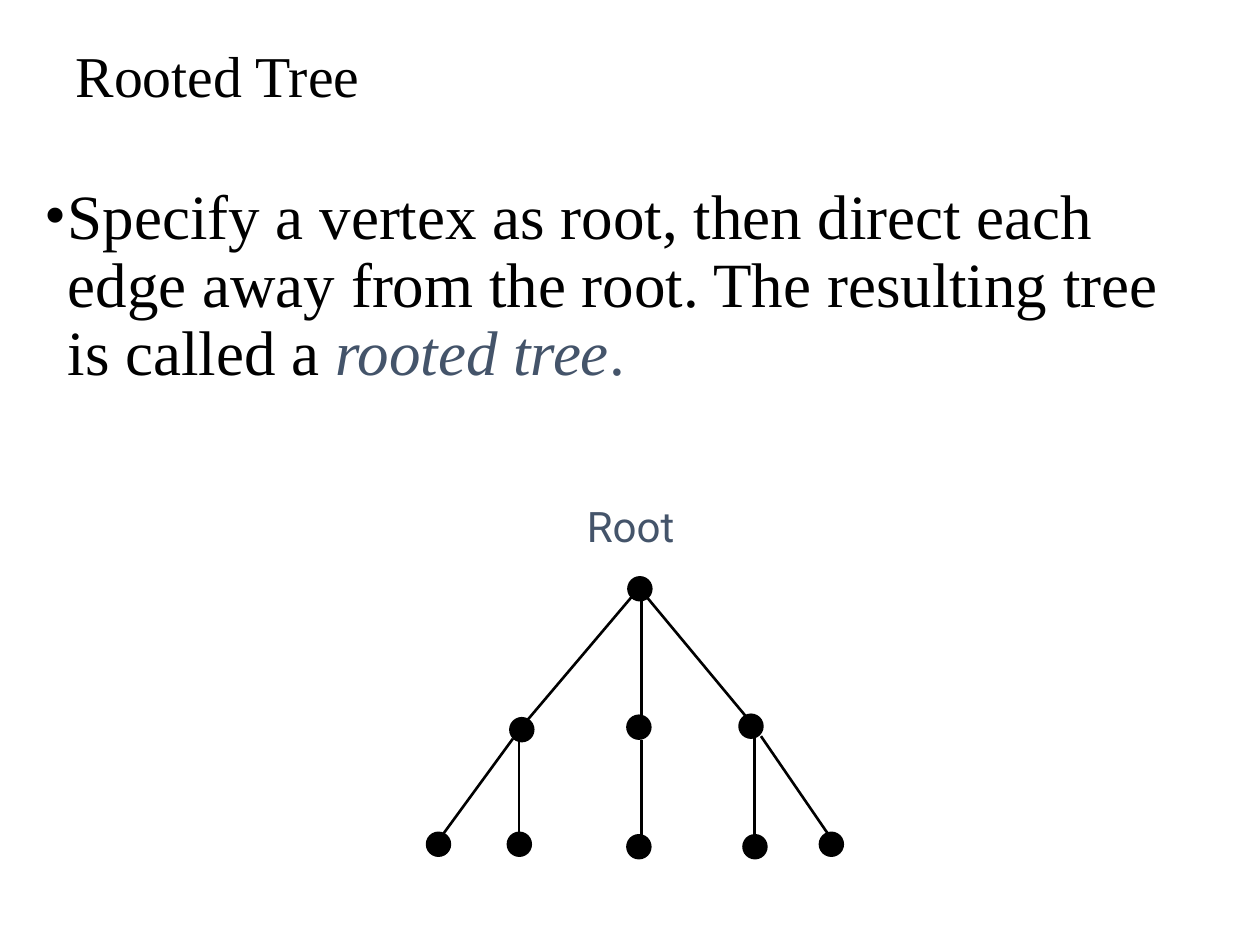
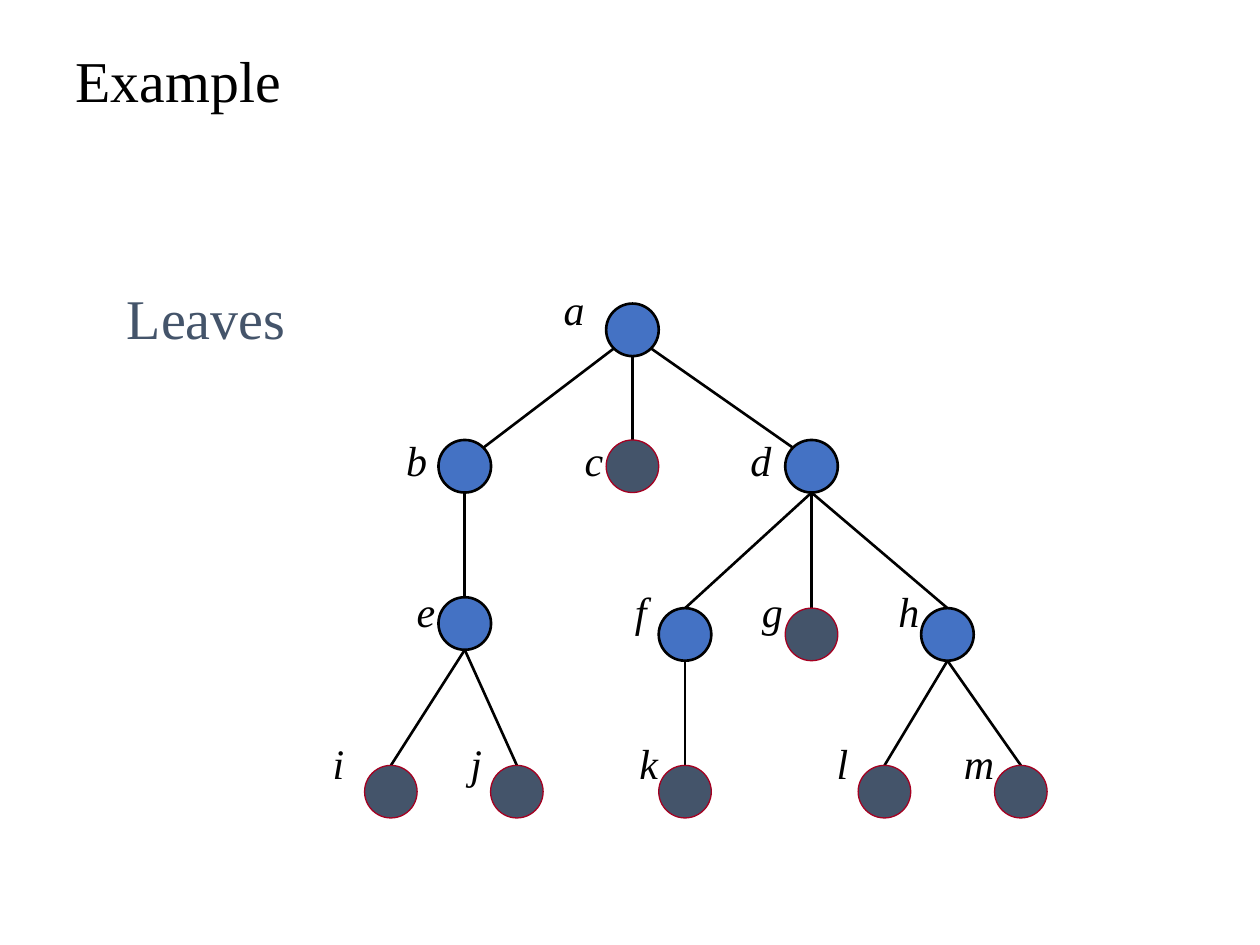
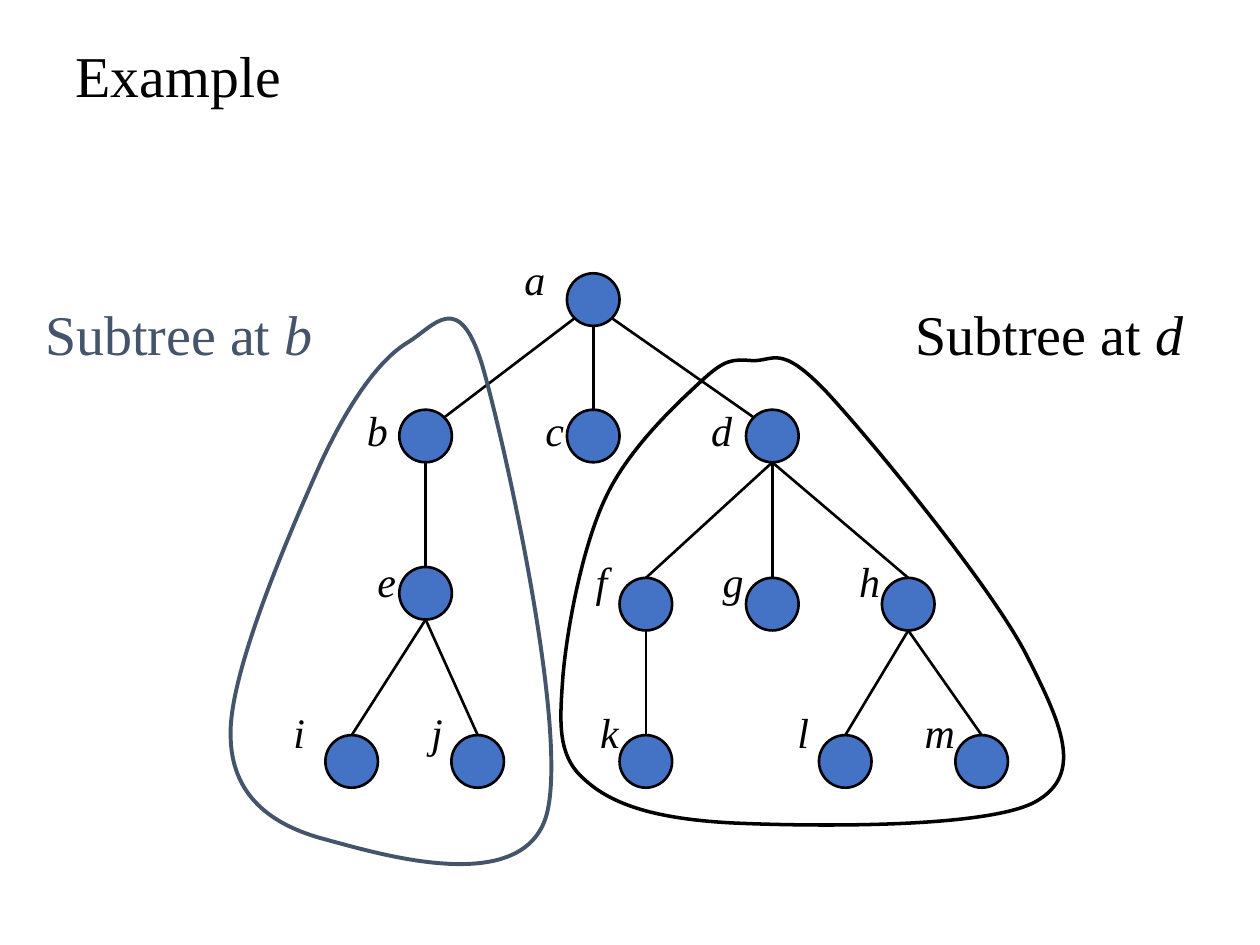
from dataclasses import dataclass
from math import cos, pi, sin

from lxml import etree
from pptx import Presentation
from pptx.dml.color import RGBColor
from pptx.enum.shapes import MSO_CONNECTOR, MSO_SHAPE
from pptx.enum.text import MSO_ANCHOR, MSO_AUTO_SIZE, PP_ALIGN
from pptx.oxml.ns import qn
from pptx.util import Cm, Pt

LINE = MSO_CONNECTOR.STRAIGHT
OVAL = MSO_SHAPE.OVAL
MIDDLE = MSO_ANCHOR.MIDDLE
FIXED = MSO_AUTO_SIZE.NONE
GROW = MSO_AUTO_SIZE.SHAPE_TO_FIT_TEXT
LEFT = PP_ALIGN.LEFT
TITLE_ONLY = 5


@dataclass(frozen=True)
class Theme:
    """Colours, fonts and sizes that the slides share."""
    ink: RGBColor = RGBColor(0, 0, 0)
    slate: RGBColor = RGBColor(0x44, 0x54, 0x6A)
    blue: RGBColor = RGBColor(0x44, 0x72, 0xC4)
    wine: RGBColor = RGBColor(0xA5, 0x00, 0x21)
    serif: str = "Times New Roman"
    sans: str = "Roboto"
    title: float = 33
    body: float = 36
    note: float = 32
    label: float = 24
    thin: float = 0.75
    edge: float = 1.5


@dataclass(frozen=True)
class Box:
    """A region of a slide, in centimetres."""
    x: float
    y: float
    w: float
    h: float

    def inner(self, x, y, w, h):
        """Return a box placed from this one's corner."""
        return Box(self.x + x, self.y + y, w, h)

    def point(self, x, y):
        """Return a point placed from this box's corner."""
        return Cm(self.x + x), Cm(self.y + y)

    def rim(self, turn):
        """Return the point on the inscribed circle, turned from its foot."""
        half = self.w / 2
        return self.point(half + half * sin(turn), half + half * cos(turn))

    def place(self):
        """Return left, top, width and height as lengths."""
        return Cm(self.x), Cm(self.y), Cm(self.w), Cm(self.h)


THEME = Theme()

DOT = 0.46
DOTS = (
    (4.06, 1.68),
    (1.68, 4.52), (4.04, 4.47), (6.3, 4.45),
    (0, 6.83), (1.63, 6.83), (4.04, 6.88), (6.38, 6.88), (7.92, 6.83),
)
EDGES = (
    ((4.22, 1.96), (1.9, 4.7)), ((4.32, 2.13), (4.32, 4.47)),
    ((4.39, 2.03), (6.5, 4.57)), ((1.73, 4.93), (0.15, 7.09)),
    ((1.85, 4.95), (1.85, 7.06)), ((4.32, 4.95), (4.32, 7.06)),
    ((6.6, 4.9), (6.6, 7.04)), ((6.73, 4.88), (8.28, 7.14)),
)

NODE = 1.06
NODES = {
    "a": (6.4, 0.53),
    "b": (3.02, 3.28), "c": (6.4, 3.28), "d": (10.01, 3.28),
    "e": (3.02, 6.45), "f": (7.46, 6.67), "g": (10.01, 6.67),
    "h": (12.75, 6.67),
    "i": (1.53, 9.84), "j": (4.07, 9.84), "k": (7.46, 9.84),
    "l": (11.48, 9.84), "m": (14.23, 9.84),
}
KIDS = {"a": "bcd", "b": "e", "d": "fgh", "e": "ij", "f": "k", "h": "lm"}
ROWS = (
    ("a", (150,)),
    ("bcd", (60, 162, 256.7)),
    ("efgh", (66, 190.7, 263.3, 341.3)),
    ("ijklm", (18, 96.7, 193.3, 306, 378.7)),
)
ROW_GAP = 57.6

LOOP_B = (
    (3.18, 1.93), (2.64, 2.26), (2.03, 3.07), (1.42, 4.39), (0.84, 5.69),
    (-0.41, 8.56), (-0.38, 9.83), (-0.38, 11.07), (0.46, 11.66),
    (1.52, 11.94), (2.57, 12.22), (5.44, 13.11), (5.97, 11.51),
    (6.48, 9.93), (5.16, 4.01), (4.7, 2.41), (4.22, 0.81), (3.73, 1.6),
    (3.18, 1.93),
)
LOOP_D = (
    (9.09, 2.72), (9.58, 2.26), (9.73, 2.26), (10.13, 2.29), (10.57, 2.31),
    (10.69, 1.93), (11.63, 2.92), (12.55, 3.91), (14.94, 6.83), (15.65, 8.2),
    (16.36, 9.6), (16.84, 10.62), (15.85, 11.18), (14.86, 11.73),
    (11.23, 11.68), (9.73, 11.61), (8.2, 11.53), (7.32, 11.25),
    (6.76, 10.74), (6.2, 10.26), (6.25, 9.6), (6.32, 8.64), (6.4, 7.7),
    (6.71, 6.02), (7.19, 5.03), (7.65, 4.06), (8.59, 3.18), (9.09, 2.72),
)


def style(font, size, color, face=THEME.serif, slant=False):
    """Format a font."""
    font.name, font.size, font.italic = face, Pt(size), slant
    font.color.rgb = color


def new_slide(deck, title, height):
    """Add a slide with its title in place."""
    slide = deck.slides.add_slide(deck.slide_layouts[TITLE_ONLY])
    shape = slide.shapes.title
    shape.left, shape.top, shape.width, shape.height = Box(
        1.27, 0.42, 22.86, height).place()
    frame = shape.text_frame
    frame.text = title
    frame.auto_size = FIXED
    frame.vertical_anchor = MIDDLE
    para = frame.paragraphs[0]
    para.alignment, para.line_spacing = LEFT, 0.9
    style(para.runs[0].font, THEME.title, THEME.ink)
    return slide


def add_text(slide, box, wrap=False):
    """Add a text box that wraps or grows, and return its frame."""
    frame = slide.shapes.add_textbox(*box.place()).text_frame
    frame.word_wrap = wrap
    frame.auto_size = FIXED if wrap else GROW
    return frame


def add_note(slide, box, text, color, size=THEME.note, face=THEME.serif, tail=""):
    """Write a short label, with an italic tail if one is given."""
    para = add_text(slide, box).paragraphs[0]
    para.text = text
    style(para.runs[0].font, size, color, face)
    if tail:
        run = para.add_run()
        run.text = tail
        style(run.font, size, color, face, True)


def add_point(slide, box, parts):
    """Write one bulleted paragraph from text, colour and slant parts."""
    para = add_text(slide, box, True).paragraphs[0]
    props = para._p.get_or_add_pPr()
    props.set("marL", str(Cm(0.48)))
    props.set("indent", str(Cm(-0.48)))
    mark = etree.SubElement(props, qn("a:buClr"))
    etree.SubElement(mark, qn("a:srgbClr")).set("val", str(THEME.ink))
    etree.SubElement(props, qn("a:buFont")).set("typeface", THEME.serif)
    etree.SubElement(props, qn("a:buChar")).set("char", "•")
    para.line_spacing = 0.9
    for text, color, slant in parts:
        run = para.add_run()
        run.text = text
        style(run.font, THEME.body, color, slant=slant)


def add_link(slide, start, end):
    """Draw one edge between two points."""
    link = slide.shapes.add_connector(LINE, *start, *end)
    link.line.color.rgb = THEME.ink
    link.line.width = Pt(THEME.edge)
    etree.SubElement(link._element.spPr, qn("a:effectLst"))


def add_node(slide, box, fill, line, width):
    """Draw one round node."""
    node = slide.shapes.add_shape(OVAL, *box.place())
    node.shadow.inherit = False
    node.fill.solid()
    node.fill.fore_color.rgb = fill
    node.line.color.rgb = line
    node.line.width = Pt(width)


def add_dots(slide, box):
    """Draw the plain rooted tree."""
    for start, end in EDGES:
        add_link(slide, box.point(*start), box.point(*end))
    for x, y in DOTS:
        add_node(slide, box.inner(x, y, DOT, DOT), THEME.ink, THEME.ink,
                 THEME.edge)
    add_note(slide, box.inner(2.97, 0, 2.36, 1.27), "Root", THEME.slate,
             THEME.label, THEME.sans)


def add_names(slide, box):
    """Write the node names in rows, set out with tab stops."""
    frame = add_text(slide, box)
    for row, (names, stops) in enumerate(ROWS):
        para = frame.add_paragraph() if row else frame.paragraphs[0]
        para.text = "".join("\t" + name for name in names)
        tabs = etree.SubElement(para._p.get_or_add_pPr(), qn("a:tabLst"))
        for stop in stops:
            etree.SubElement(tabs, qn("a:tab"), pos=str(Pt(stop)), algn="l")
        if row:
            para.space_before = Pt(ROW_GAP)
        style(para.runs[0].font, THEME.label, THEME.ink, slant=True)


def add_tree(slide, box, mark=False):
    """Draw the lettered tree, with its leaves marked on request."""
    spots = {name: box.inner(x, y, NODE, NODE) for name, (x, y) in NODES.items()}
    for name, kids in KIDS.items():
        for kid in kids:
            shift = spots[kid].x - spots[name].x
            side = (shift > 0) - (shift < 0)
            turn = side * pi / 4 if name == "a" else 0
            add_link(slide, spots[name].rim(turn), spots[kid].rim(turn + pi))
    for name, spot in spots.items():
        if mark and name not in KIDS:
            add_node(slide, spot, THEME.slate, THEME.wine, THEME.thin)
        else:
            add_node(slide, spot, THEME.blue, THEME.ink, THEME.edge)
    add_names(slide, box)


def add_loop(slide, box, points, color, width):
    """Draw a closed outline of cubic curves round a subtree."""
    start, *trail = [box.point(x, y) for x, y in points]
    pen = slide.shapes.build_freeform(*start)
    pen.add_line_segments(trail, close=True)
    loop = pen.convert_to_shape()
    legs = list(loop._element.iter(qn("a:lnTo")))
    for first in range(0, len(legs), 3):
        bend, *rest = legs[first:first + 3]
        bend.tag = qn("a:cubicBezTo")
        for leg in rest:
            bend.append(leg[0])
            leg.getparent().remove(leg)
    loop.shadow.inherit = False
    loop.fill.background()
    loop.line.color.rgb = color
    loop.line.width = Pt(width)


def rooted(deck):
    """Build the slide that defines a rooted tree."""
    slide = new_slide(deck, "Rooted Tree", 2.33)
    add_point(slide, Box(0.64, 3.6, 23.93, 5.72), (
        ("Specify a vertex as root, then direct each edge away from the root. "
         "The resulting tree is called a ", THEME.ink, False),
        ("rooted tree", THEME.slate, True),
        (".", THEME.slate, False),
    ))
    add_dots(slide, Box(8.61, 9.96, 8.38, 7.34))


def leaves(deck):
    """Build the slide that marks the leaves."""
    slide = new_slide(deck, "Example", 2.54)
    add_tree(slide, Box(5.82, 5.59, 14.48, 10.41), True)
    add_note(slide, Box(2.31, 5.59, 3.71, 1.63), "Leaves", THEME.slate)


def subtrees(deck):
    """Build the slide that rings two subtrees."""
    slide = new_slide(deck, "Example", 2.33)
    box = Box(5.03, 4.98, 14.48, 10.41)
    add_tree(slide, box)
    for x, name, color, loop, width in (
        (18.21, "d", THEME.ink, LOOP_D, 2),
        (0.66, "b", THEME.slate, LOOP_B, 2.25),
    ):
        add_note(slide, Box(x, 5.92, 5.9, 1.63), "Subtree at ", color, tail=name)
        add_loop(slide, box, loop, color, width)


def main():
    """Build and save the deck."""
    deck = Presentation()
    deck.slide_width, deck.slide_height = Cm(25.4), Cm(19.05)
    for build in (rooted, leaves, subtrees):
        build(deck)
    deck.save("out.pptx")


if __name__ == "__main__":
    main()
